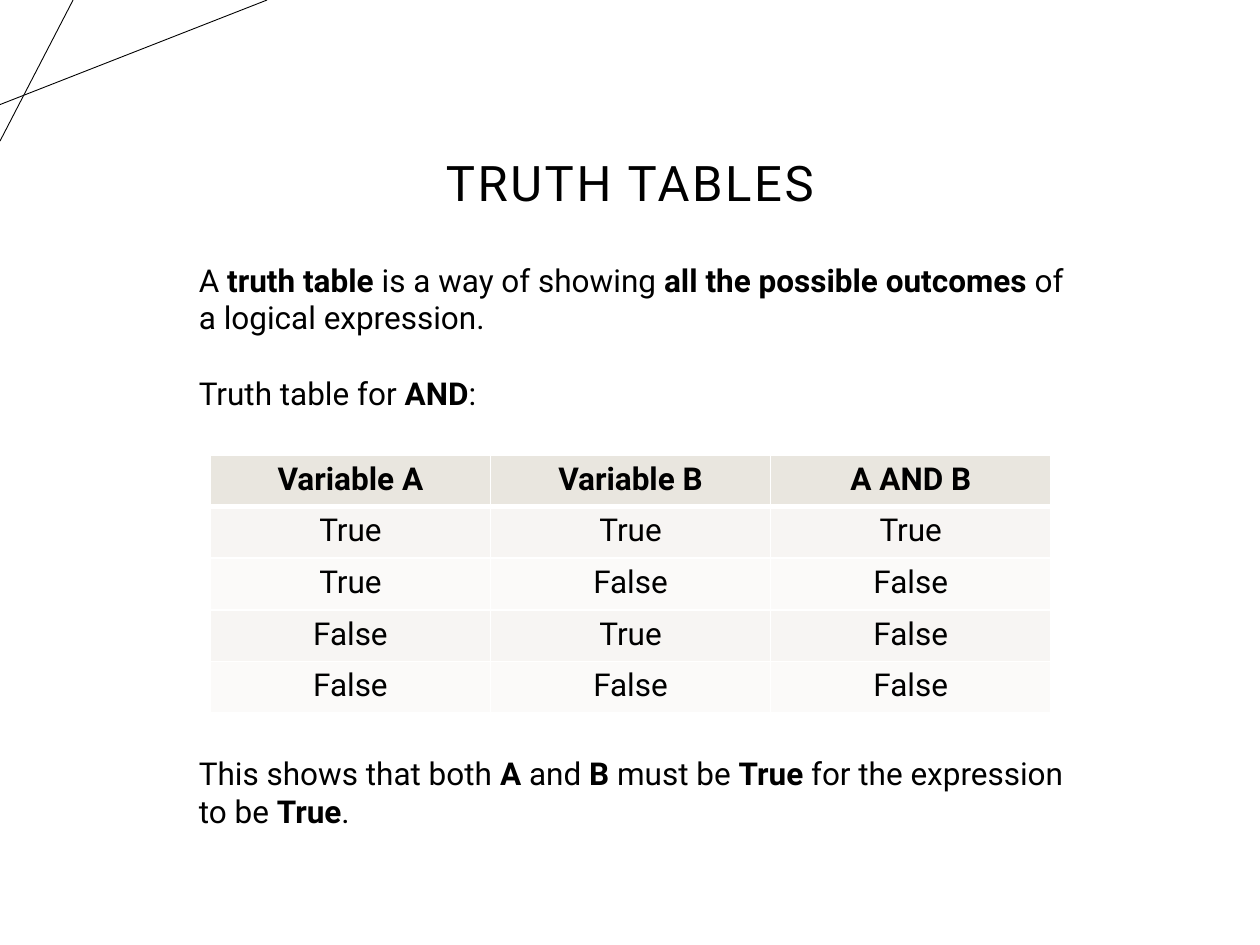
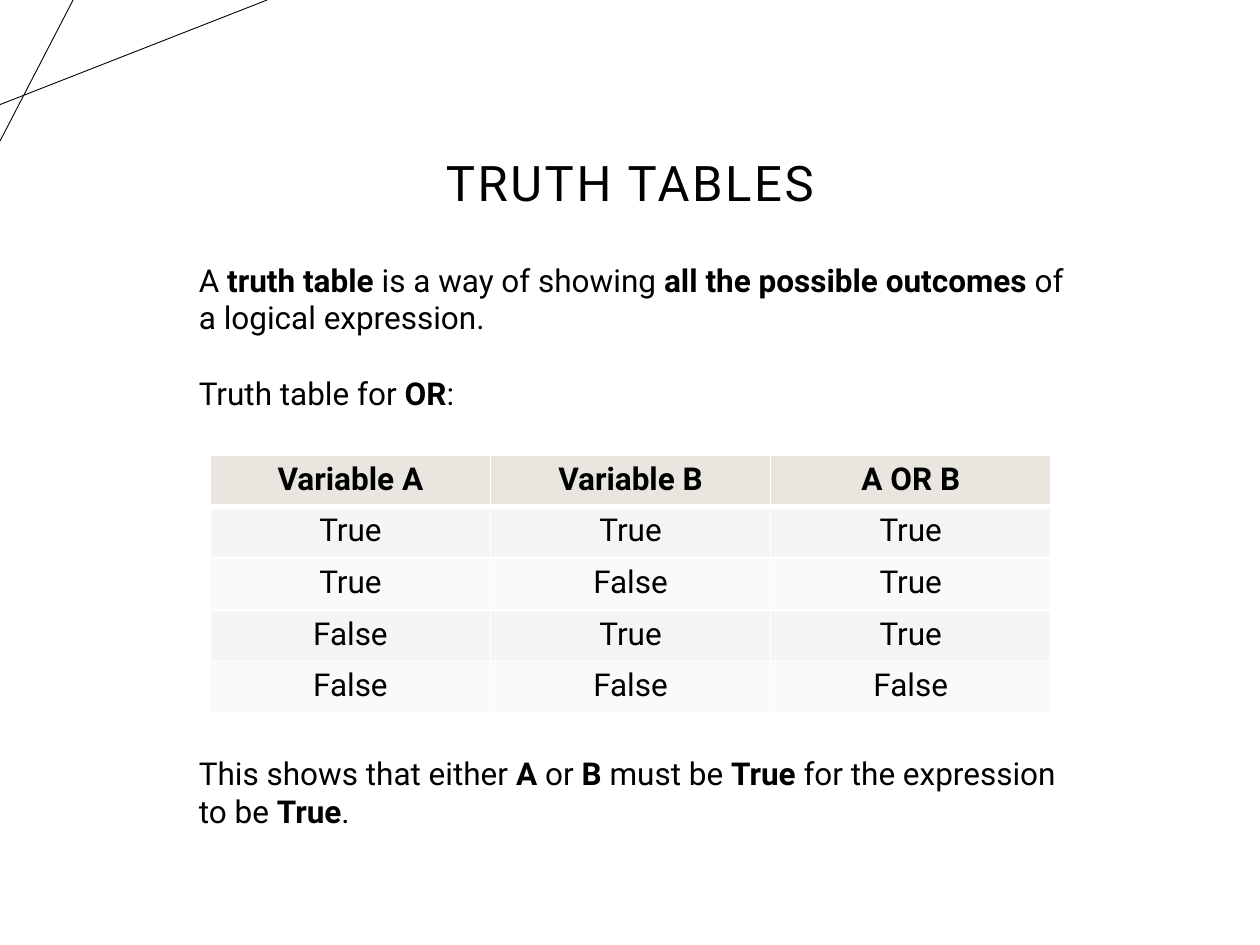
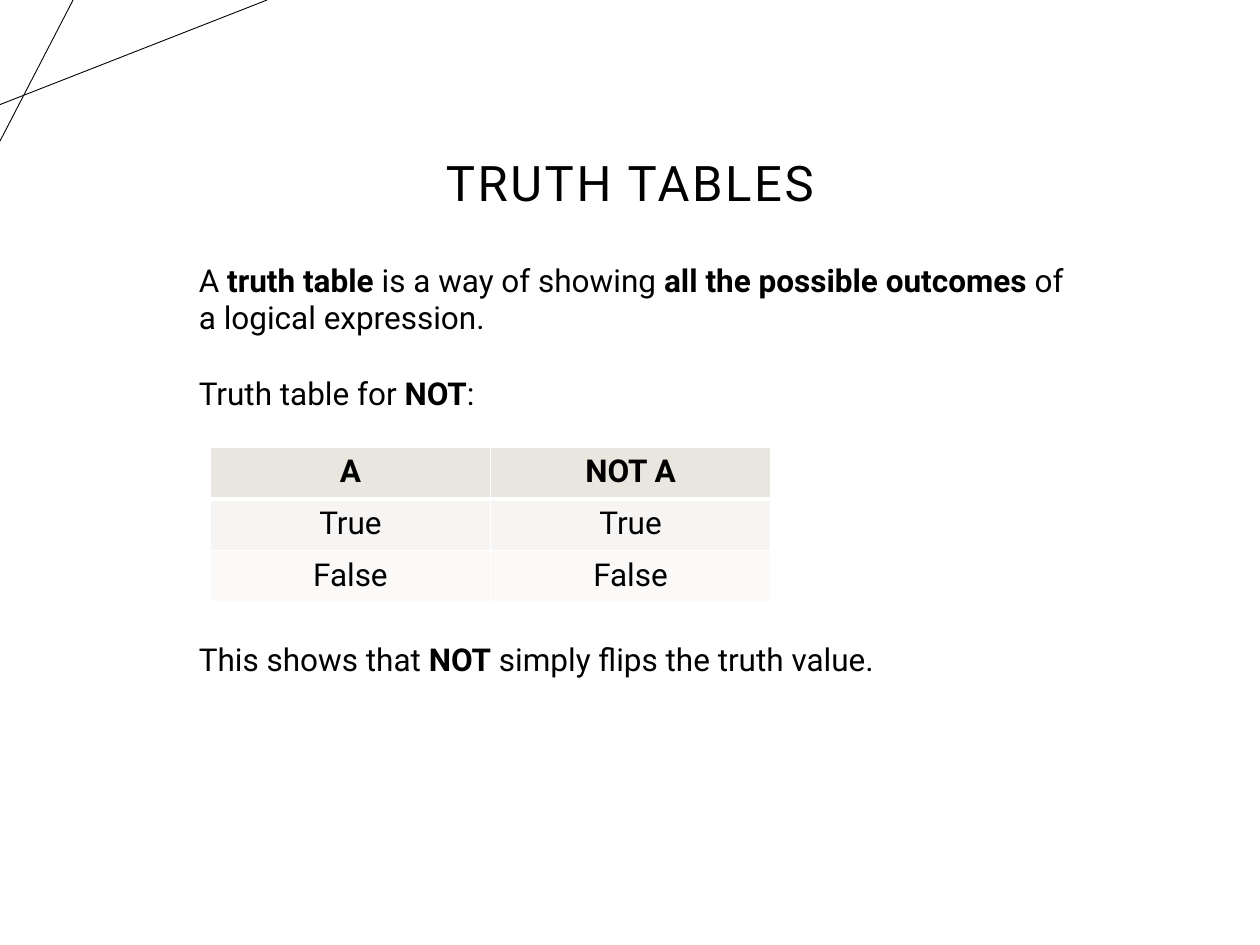
from lxml.etree import SubElement
from pptx import Presentation
from pptx.dml.color import RGBColor
from pptx.enum.shapes import MSO_CONNECTOR
from pptx.enum.text import MSO_ANCHOR, PP_ALIGN
from pptx.oxml.ns import qn
from pptx.util import Inches, Pt

COLORS = {
    "ink": "000000",
    "header": "E9E6DF",
    "odd_row": "F7F5F3",
    "even_row": "FBFAF9",
    "grid": "FFFFFF",
}
FONT = "Roboto"
BODY_SIZE = 18
LINE_PITCH = 21.7
COLUMN_WIDTH = 6.67 / 3
ROW_HEIGHT = 0.41

TITLE = "TRUTH TABLES"
DEFINITION = "A **truth table** is a way of showing **all the possible outcomes** of a logical expression."
CORNER_LINES = [((0, 0.83), (2.12, 0)), ((0.58, 0), (0, 1.12))]

LESSONS = [
    {
        "operator": "AND",
        "truth": [
            ("Variable A", "Variable B", "A AND B"),
            ("True", "True", "True"),
            ("True", "False", "False"),
            ("False", "True", "False"),
            ("False", "False", "False"),
        ],
        "table_top": 3.61,
        "text_height": 4.64,
        "gap_lines": 9,
        "conclusion": "This shows that both **A** and **B** must be **True** for the expression to be **True**.",
    },
    {
        "operator": "OR",
        "truth": [
            ("Variable A", "Variable B", "A OR B"),
            ("True", "True", "True"),
            ("True", "False", "True"),
            ("False", "True", "True"),
            ("False", "False", "False"),
        ],
        "table_top": 3.61,
        "text_height": 4.64,
        "gap_lines": 9,
        "conclusion": "This shows that either **A** or **B** must be **True** for the expression to be **True**.",
    },
    {
        "operator": "NOT",
        "truth": [("A", "NOT A"), ("True", "True"), ("False", "False")],
        "table_top": 3.55,
        "text_height": 3.43,
        "gap_lines": 6,
        "conclusion": "This shows that **NOT** simply flips the truth value.",
    },
]


def rgb(name):
    return RGBColor.from_string(COLORS[name])


def set_font(font, size=BODY_SIZE):
    font.name = FONT
    font.size = Pt(size)
    font.color.rgb = rgb("ink")


def add_corner_lines(slide):
    for start, end in CORNER_LINES:
        line = slide.shapes.add_connector(
            MSO_CONNECTOR.STRAIGHT, *(Inches(value) for value in start + end))
        line.line.color.rgb = rgb("ink")
        line.line.width = Pt(0.5)
        SubElement(line._element.spPr, qn("a:effectLst"))


def add_text_frame(slide, left, top, width, height):
    frame = slide.shapes.add_textbox(
        Inches(left), Inches(top), Inches(width), Inches(height)).text_frame
    frame.word_wrap = True
    return frame


def add_title(slide):
    frame = add_text_frame(slide, 0.69, 0.75, 8.62, 1.45)
    frame.vertical_anchor = MSO_ANCHOR.MIDDLE
    heading = frame.paragraphs[0]
    heading.alignment = PP_ALIGN.CENTER
    heading.line_spacing = 0.9
    run = heading.add_run()
    run.text = TITLE
    set_font(run.font, 28)
    run.font._element.set("spc", "150")


def add_explanation(slide, lesson):
    frame = add_text_frame(slide, 1.48, 2.02, 7.15, lesson["text_height"])
    statements = [
        (DEFINITION, 0),
        (f"Truth table for **{lesson['operator']}**:", 1),
        (lesson["conclusion"], lesson["gap_lines"]),
    ]
    for index, (statement, lines_before) in enumerate(statements):
        paragraph = frame.add_paragraph() if index else frame.paragraphs[0]
        paragraph.space_before = Pt(lines_before * LINE_PITCH)
        set_font(paragraph.font)
        for part, words in enumerate(statement.split("**")):
            run = paragraph.add_run()
            run.text = words
            if part % 2:
                run.font.bold = True


def add_borders(cell, top, bottom):
    properties = cell._tc.get_or_add_tcPr()
    for side, width in (("L", 1), ("R", 1), ("T", top), ("B", bottom)):
        border = SubElement(properties, qn(f"a:ln{side}"), w=str(Pt(width)))
        fill = SubElement(border, qn("a:solidFill"))
        SubElement(fill, qn("a:srgbClr"), val=COLORS["grid"])


def add_truth_table(slide, lesson):
    truth = lesson["truth"]
    rows, columns = len(truth), len(truth[0])
    table = slide.shapes.add_table(
        rows, columns, Inches(1.67), Inches(lesson["table_top"]),
        Inches(columns * COLUMN_WIDTH), Inches(rows * ROW_HEIGHT)).table
    for column in table.columns:
        column.width = Inches(COLUMN_WIDTH)
    for r, values in enumerate(truth):
        shade = "header" if r == 0 else "odd_row" if r % 2 else "even_row"
        table.rows[r].height = Inches(ROW_HEIGHT)
        for c, value in enumerate(values):
            cell = table.cell(r, c)
            cell.text = value
            add_borders(cell, top=3 if r == 1 else 1, bottom=3 if r == 0 else 1)
            cell.fill.solid()
            cell.fill.fore_color.rgb = rgb(shade)
            paragraph = cell.text_frame.paragraphs[0]
            paragraph.alignment = PP_ALIGN.CENTER
            set_font(paragraph.font)
            paragraph.font.bold = r == 0


def main():
    deck = Presentation()
    deck.slide_width, deck.slide_height = Inches(10), Inches(7.5)
    for lesson in LESSONS:
        slide = deck.slides.add_slide(deck.slide_layouts[6])
        add_corner_lines(slide)
        add_title(slide)
        add_explanation(slide, lesson)
        add_truth_table(slide, lesson)
    deck.save("out.pptx")


if __name__ == "__main__":
    main()
